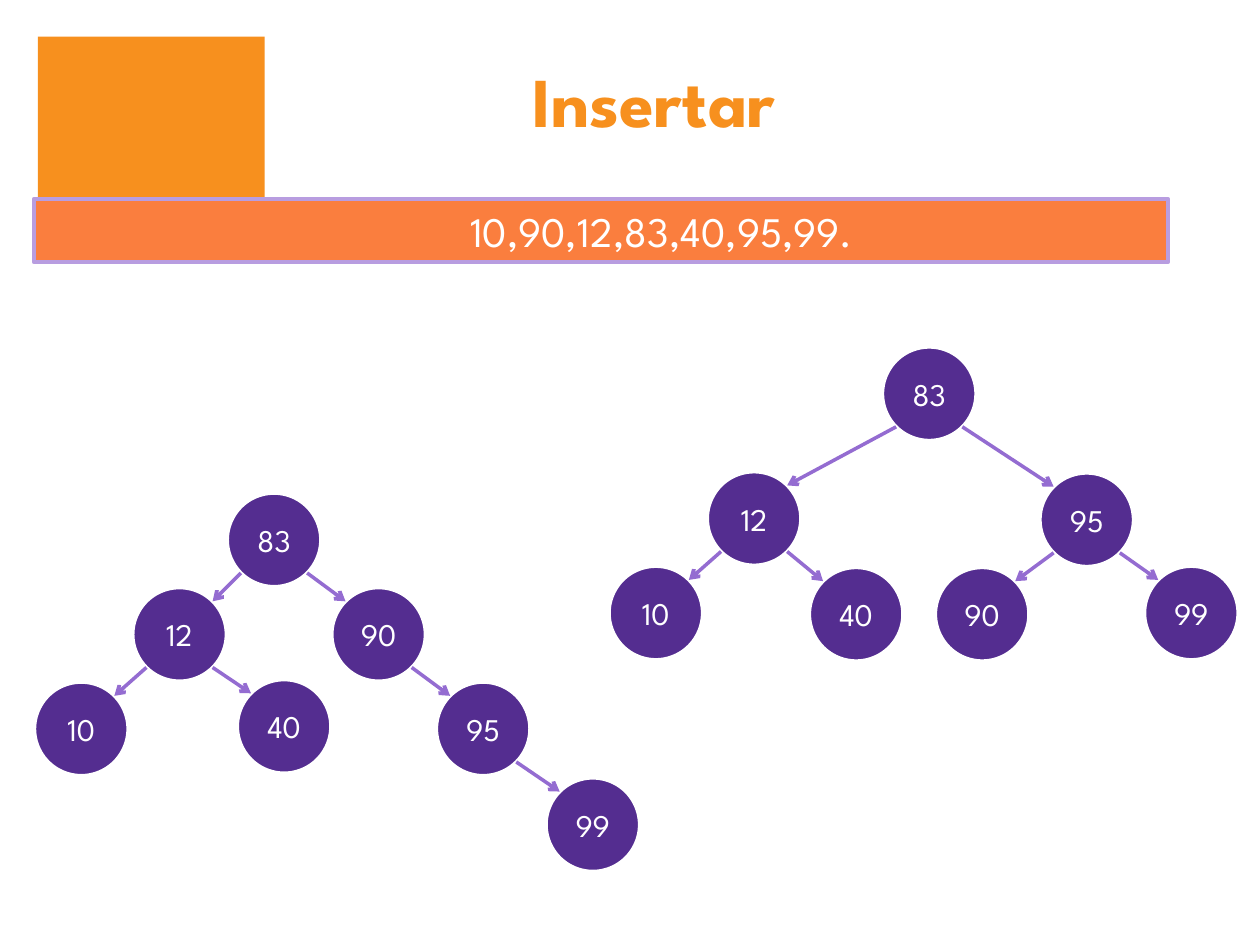
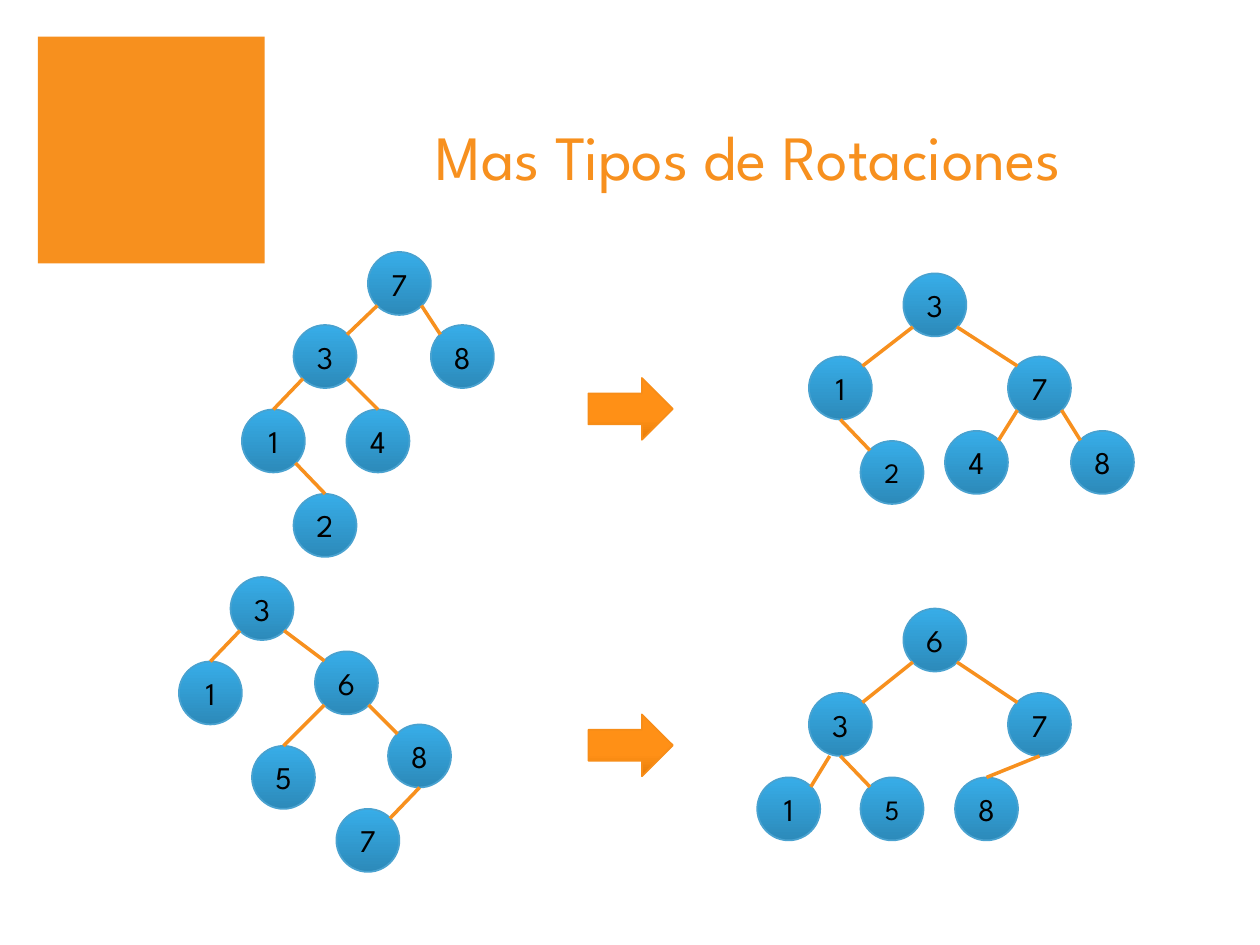
"""Build two slides showing insertion into AVL trees and further rotations."""
import lxml.etree
import pptx
import pptx.dml.color
import pptx.enum.shapes
import pptx.enum.text
import pptx.oxml.ns
import pptx.util

Inches, Pt, qn = pptx.util.Inches, pptx.util.Pt, pptx.oxml.ns.qn
SHAPE = pptx.enum.shapes.MSO_SHAPE
FONT = "League Spartan"
ORANGE, WHITE, BLACK = "F7901E", "FFFFFF", "000000"
BLUES = ("2C8ABA", "37ADE8")
SITES = {
    "N": (0.5, 0), "S": (0.5, 1), "SSW": (0.33, 1),
    "NW": (0.15, 0.15), "NE": (0.85, 0.15), "SW": (0.15, 0.85), "SE": (0.85, 0.85),
}


def rgb(code):
    return pptx.dml.color.RGBColor.from_string(code)


def write(shape, text, size, color, bold=False):
    frame = shape.text_frame
    frame.text = text
    para = frame.paragraphs[0]
    para.alignment = pptx.enum.text.PP_ALIGN.CENTER
    span = para.runs[0]
    span.font.name, span.font.size, span.font.bold = FONT, Pt(size), bold
    span.font.color.rgb = rgb(color)


deck = pptx.Presentation()
deck.slide_width, deck.slide_height = Inches(10), Inches(7.5)
layout = deck.slide_layouts[5]
titles = [
    ("Insertar", 40, True, (1.63, 0.42, 7.12, 0.75)),
    ("Mas Tipos de Rotaciones", 36, False, (2.38, 0.33, 7.12, 1.25)),
]
pages = []
for text, size, bold, place in titles:
    page = deck.slides.add_slide(layout)
    title = page.shapes.title
    title.left, title.top, title.width, title.height = map(Inches, place)
    title.text_frame.auto_size = pptx.enum.text.MSO_AUTO_SIZE.NONE
    title.text_frame.vertical_anchor = pptx.enum.text.MSO_ANCHOR.BOTTOM
    write(title, text, size, ORANGE, bold)
    pages.append(page)
insert_page, rotation_page = pages

square = insert_page.shapes.add_shape(SHAPE.RECTANGLE, Inches(0.3), Inches(0.29), Inches(1.8), Inches(1.8))
square.shadow.inherit = False
square.fill.solid()
square.fill.fore_color.rgb = rgb(ORANGE)
square.line.fill.background()
layout.shapes.element.append(square.element)

banner = insert_page.shapes.add_shape(SHAPE.RECTANGLE, Inches(0.27), Inches(1.58), Inches(9), Inches(0.5))
banner.shadow.inherit = False
banner.fill.solid()
banner.fill.fore_color.rgb = rgb("FA7E3E")
banner.line.color.rgb = rgb("B89DE0")
banner.line.width = Pt(2.5)
banner.text_frame.margin_left = Inches(1.06)
write(banner, "10,90,12,83,40,95,99.", 24, WHITE)

for top in (3, 5.67):
    arrow = rotation_page.shapes.add_shape(SHAPE.RIGHT_ARROW, Inches(4.67), Inches(top), Inches(0.67), Inches(0.49))
    arrow.shadow.inherit = False
    arrow.fill.gradient()
    arrow.fill.gradient_angle = 90
    for stop, color, position in zip(arrow.fill.gradient_stops, ("E67C07", "FF9016"), (0, 0.35)):
        stop.color.rgb, stop.position = rgb(color), position
    arrow.line.color.rgb = rgb("F78D18")
    arrow.line.width = Pt(1)

insert_style = dict(page=insert_page, size=0.75, fills=("542D90",), outline=WHITE, weight=2.5,
                    ink=WHITE, edge="946CD1", head=True)
rotation_style = dict(page=rotation_page, size=0.5, fills=BLUES, outline="49A2D0", weight=1,
                      ink=BLACK, edge=ORANGE, head=False)
trees = [
    (insert_style,
     {83: (1.8, 3.91), 12: (1.05, 4.66), 90: (2.63, 4.66), 10: (0.27, 5.41),
      40: (1.88, 5.39), 95: (3.46, 5.41), 99: (4.33, 6.17)},
     "83 SW 12 NE, 83 SE 90 NW, 12 SW 10 NE, 12 SE 40 NW, 90 SE 95 NW, 95 SE 99 NW", None),
    (insert_style,
     {83: (7, 2.75), 12: (5.61, 3.74), 95: (8.25, 3.75), 10: (4.83, 4.49),
      40: (6.42, 4.5), 90: (7.42, 4.5), 99: (9.08, 4.49)},
     "83 SW 12 NE, 83 SE 95 NW, 12 SW 10 NE, 12 SE 40 NW, 95 SW 90 NE, 95 SE 99 NW", None),
    (rotation_style,
     {7: (2.92, 2), 3: (2.33, 2.58), 8: (3.42, 2.58), 1: (1.92, 3.25), 4: (2.75, 3.25), 2: (2.33, 3.92)},
     "7 SW 3 NE, 7 SE 8 NW, 3 SW 1 N, 3 SE 4 N, 1 SE 2 N", None),
    (rotation_style,
     {3: (7.17, 2.17), 1: (6.42, 2.83), 7: (8, 2.83), 2: (6.83, 3.5), 4: (7.5, 3.42), 8: (8.5, 3.42)},
     "3 SW 1 NE, 3 SE 7 NW, 1 S 2 NW, 7 SW 4 NE, 7 SE 8 NW", 2),
    (rotation_style,
     {3: (1.83, 4.58), 1: (1.42, 5.25), 6: (2.5, 5.17), 5: (2, 5.92), 8: (3.08, 5.75), 7: (2.67, 6.42)},
     "3 SW 1 N, 3 SE 6 NW, 6 SW 5 N, 6 SE 8 NW, 8 S 7 NE", None),
    (rotation_style,
     {6: (7.17, 4.83), 3: (6.42, 5.5), 7: (8, 5.5), 1: (6.01, 6.17), 5: (6.83, 6.17), 8: (7.58, 6.17)},
     "6 SW 3 NE, 6 SE 7 NW, 3 SSW 1 NE, 3 S 5 NW, 7 S 8 N", 5),
]

for style, nodes, edges, small_value in trees:
    shapes, size = style["page"].shapes, style["size"]
    for value, (left, top) in nodes.items():
        node = shapes.add_shape(SHAPE.OVAL, Inches(left), Inches(top), Inches(size), Inches(size))
        node.shadow.inherit = False
        if len(style["fills"]) == 1:
            node.fill.solid()
            node.fill.fore_color.rgb = rgb(style["fills"][0])
        else:
            node.fill.gradient()
            node.fill.gradient_angle = 90
            for stop, color in zip(node.fill.gradient_stops, style["fills"]):
                stop.color.rgb = rgb(color)
        node.line.color.rgb = rgb(style["outline"])
        node.line.width = Pt(style["weight"])
        node.text_frame.margin_left = node.text_frame.margin_right = 0
        write(node, str(value), 16 if value == small_value else 18, style["ink"])

    for edge in edges.split(", "):
        parent, parent_site, child, child_site = edge.split()
        ends = []
        for value, site in ((parent, parent_site), (child, child_site)):
            ends += [Inches(start + size * share) for start, share in zip(nodes[int(value)], SITES[site])]
        link = shapes.add_connector(pptx.enum.shapes.MSO_CONNECTOR.STRAIGHT, *ends)
        link.line.color.rgb = rgb(style["edge"])
        link.line.width = Pt(2)
        properties = link.element.spPr
        if style["head"]:
            lxml.etree.SubElement(properties.find(qn("a:ln")), qn("a:tailEnd"), type="arrow")
        lxml.etree.SubElement(properties, qn("a:effectLst"))

deck.save("out.pptx")
